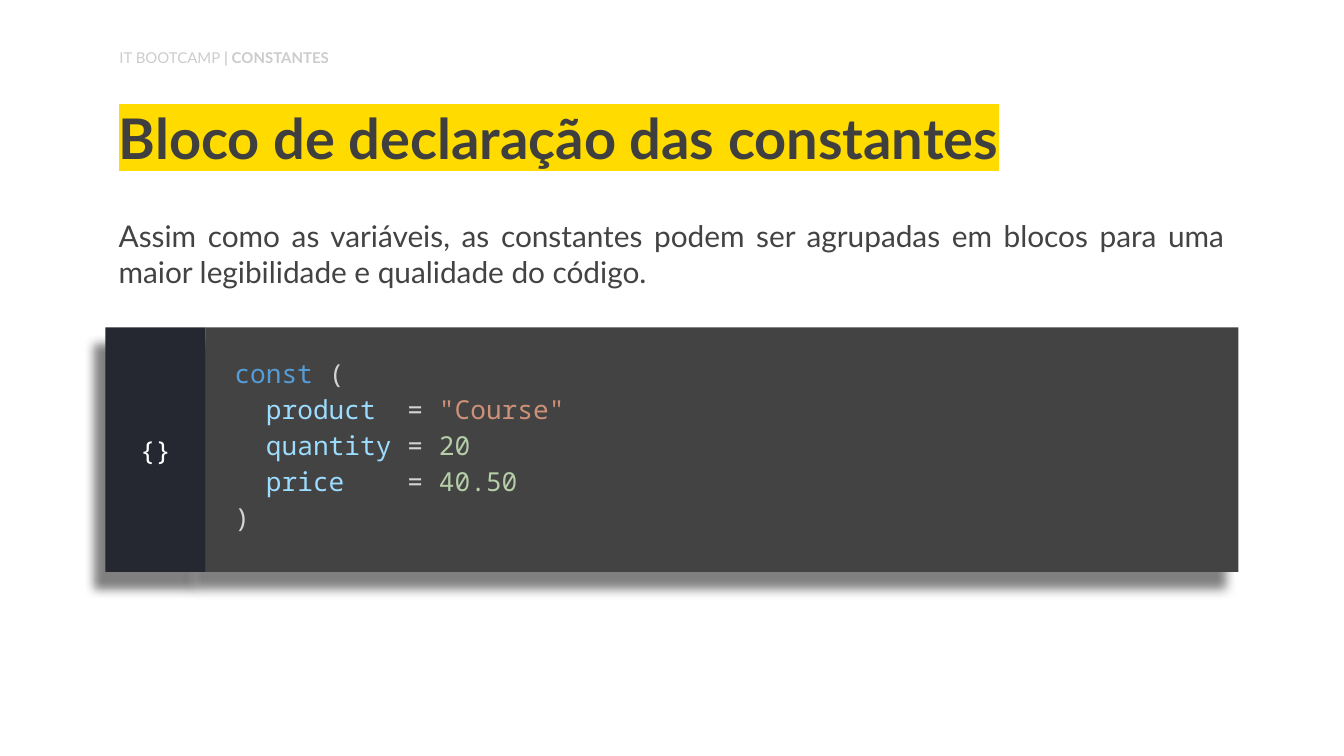
"""Builds a slide on constant declaration blocks."""
import lxml.etree
import pptx
import pptx.dml.color
import pptx.enum.shapes
import pptx.enum.text
import pptx.oxml.ns
import pptx.util

PX = 4572
HUES = {
    "dark": "3F3F3F", "grey": "CCCCCC", "panel": "434343", "side": "262831",
    "mark": "FFDB00", "white": "FFFFFF", "black": "000000", "plain": "D4D4D4",
    "key": "569CD6", "name": "9CDCFE", "text": "CE9178", "num": "B5CEA8",
}
ALIGN = pptx.enum.text.PP_ALIGN
ANCHOR = pptx.enum.text.MSO_ANCHOR
qn = pptx.oxml.ns.qn


def hue(name):
    return pptx.dml.color.RGBColor.from_string(HUES[name])


class Deck:
    def __init__(self, wide, high):
        self.show = pptx.Presentation()
        self.show.slide_width = wide * PX
        self.show.slide_height = high * PX
        self.slide = self.show.slides.add_slide(self.show.slide_layouts[5])
        self.sans = "Lato"
        self.mono = "Noto Sans Mono"

    def place(self, shape, box):
        shape.left, shape.top, shape.width, shape.height = [n * PX for n in box]

    def frame(self, shape, anchor=ANCHOR.TOP, top=20, low=20):
        frame = shape.text_frame
        frame.word_wrap = True
        frame.auto_size = pptx.enum.text.MSO_AUTO_SIZE.NONE
        frame.vertical_anchor = anchor
        frame.margin_left = frame.margin_right = 20 * PX
        frame.margin_top, frame.margin_bottom = top * PX, low * PX
        return frame

    def style(self, run, size, color, face, bold=False):
        font = run.font
        font.size, font.name, font.bold = pptx.util.Pt(size), face, bold
        font.color.rgb = hue(color)

    def title(self, text, box):
        shape = self.slide.shapes.title
        self.place(shape, box)
        frame = self.frame(shape, ANCHOR.BOTTOM)
        frame.text = text
        para = frame.paragraphs[0]
        para.alignment, para.line_spacing = ALIGN.LEFT, 0.9
        run = para.runs[0]
        self.style(run, 30, "dark", self.sans, True)
        mark = lxml.etree.Element(qn("a:highlight"))
        lxml.etree.SubElement(mark, qn("a:srgbClr"), val=HUES["mark"])
        run.font._element.find(qn("a:solidFill")).addnext(mark)

    def text(self, parts, box, size, color, align=ALIGN.LEFT, inset=20):
        shape = self.slide.shapes.add_textbox(*[n * PX for n in box])
        para = self.frame(shape, top=inset, low=inset).paragraphs[0]
        para.alignment = align
        for words, bold in parts:
            run = para.add_run()
            run.text = words
            self.style(run, size, color, self.sans, bold)

    def panel(self, group, box, fill, lines, align=ALIGN.LEFT, top=20, space=1.0):
        kind = pptx.enum.shapes.MSO_SHAPE.RECTANGLE
        shape = group.shapes.add_shape(kind, *[n * PX for n in box])
        shape.fill.solid()
        shape.fill.fore_color.rgb = hue(fill)
        shape.line.fill.background()
        self.shade(shape)
        frame = self.frame(shape, ANCHOR.MIDDLE, top)
        frame.text = "\n" * (len(lines) - 1)
        for para, parts in zip(frame.paragraphs, lines):
            para.alignment, para.line_spacing = align, space
            for words, color in parts:
                run = para.add_run()
                run.text = words
                self.style(run, 14, color, self.mono)

    def shade(self, shape):
        shape.shadow.inherit = False
        glow = lxml.etree.SubElement(
            shape._element.spPr.find(qn("a:effectLst")), qn("a:outerShdw"),
            blurRad=str(pptx.util.Pt(5.6)), dist=str(pptx.util.Pt(11.2)),
            dir=str(125 * 60000), algn="bl", rotWithShape="0")
        tint = lxml.etree.SubElement(glow, qn("a:srgbClr"), val=HUES["black"])
        lxml.etree.SubElement(tint, qn("a:alpha"), val="50000")


def main():
    deck = Deck(2000, 1125)
    deck.title("Bloco de declaração das constantes", (157, 137, 1686, 138))
    deck.text([("IT BOOTCAMP", False), (" | CONSTANTES", True)],
              (158, 62, 628, 54), 8, "grey", inset=10)
    items = [("product", "  = ", '"Course"', "text"),
             ("quantity", " = ", "20", "num"),
             ("price", "    = ", "40.50", "num")]
    code = [[(" ", "plain"), ("const", "key"), (" (", "plain")]]
    for name, sign, value, color in items:
        code.append([("   ", "plain"), (name, "name"), (sign, "plain"), (value, color)])
    code.append([(" )", "plain")])
    group = deck.slide.shapes.add_group_shape()
    deck.panel(group, (306, 487, 1537, 364), "panel", code, top=0, space=1.15)
    deck.panel(group, (157, 487, 149, 364), "side", [[("{}", "white")]], ALIGN.CENTER)
    deck.text([("Assim como as variáveis, as constantes podem ser agrupadas em blocos "
                "para uma maior legibilidade e qualidade do código.", False)],
              (157, 304, 1686, 138), 16, "panel", ALIGN.JUSTIFY)
    deck.show.save("out.pptx")


if __name__ == "__main__":
    main()
